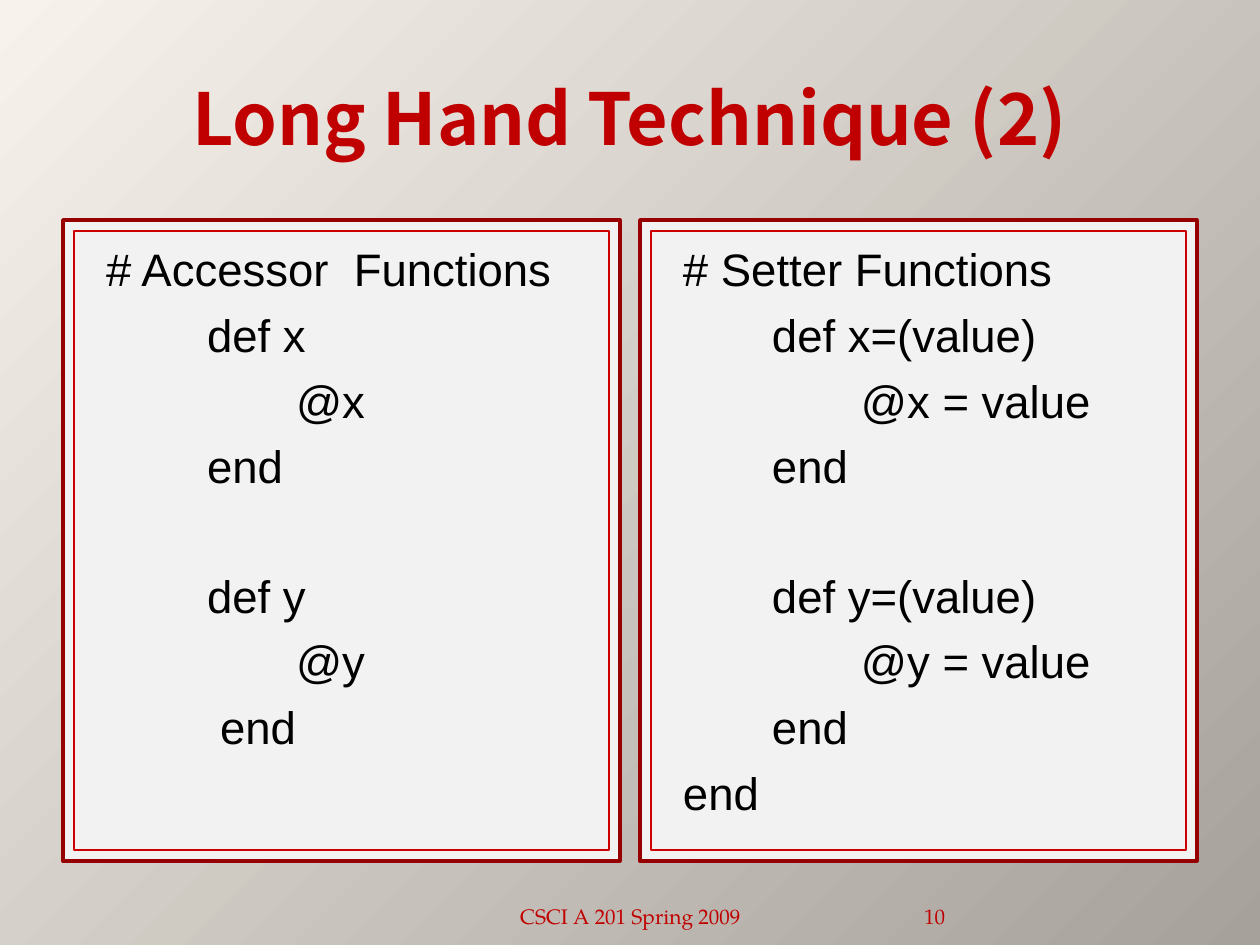
from dataclasses import dataclass

from pptx import Presentation
from pptx import util as u
from pptx.dml.color import RGBColor
from pptx.enum import shapes, text

PX = u.Inches(1) // 126


@dataclass(frozen=True)
class Theme:
    """Colours, fonts and type sizes of the slide."""
    light: str = "F7F3EC"
    dark: str = "A6A29B"
    panel: str = "F2F2F2"
    frame: str = "970000"
    rule: str = "CC0000"
    accent: str = "C00000"
    ink: str = "000000"
    title_font: str = "Noto Sans CJK SC"
    code_font: str = "Arial"
    footer_font: str = "TeX Gyre Pagella"
    title_size: int = 41
    code_size: int = 26
    footer_size: int = 12
    line_gap: float = 6.4
    section_gap: float = 42.7


THEME = Theme()


def emu(*lengths):
    """Turn pixel lengths into EMU."""
    return [length * PX for length in lengths]


def add_run(paragraph, wording, font, size, colour, bold=False):
    """Add one formatted run to a paragraph."""
    run = paragraph.add_run()
    run.text = wording
    run.font.name, run.font.size, run.font.bold = font, u.Pt(size), bold
    run.font.color.rgb = RGBColor.from_string(colour)


def add_background(slide):
    """Shade the slide from its top left to its bottom right corner."""
    fill = slide.background.fill
    fill.gradient()
    fill.gradient_angle = 315
    for stop, colour in zip(fill.gradient_stops, (THEME.light, THEME.dark)):
        stop.color.rgb = RGBColor.from_string(colour)


def add_title(slide, box, wording):
    """Place and format the title placeholder."""
    title = slide.shapes.title
    title.left, title.top, title.width, title.height = emu(*box)
    frame = title.text_frame
    frame.vertical_anchor = text.MSO_ANCHOR.MIDDLE
    paragraph = frame.paragraphs[0]
    paragraph.alignment = text.PP_ALIGN.CENTER
    add_run(paragraph, wording, THEME.title_font, THEME.title_size, THEME.accent, True)


def add_box(slide, box, outline, weight):
    """Add a panel rectangle with the given outline."""
    panel = slide.shapes.add_shape(shapes.MSO_SHAPE.RECTANGLE, *emu(*box))
    panel.shadow.inherit = False
    panel.fill.solid()
    panel.fill.fore_color.rgb = RGBColor.from_string(THEME.panel)
    panel.line.color.rgb = RGBColor.from_string(outline)
    panel.line.width = u.Pt(weight)
    return panel


def add_code_panel(slide, box, sections):
    """Add a double-framed panel; each code line is (indent in pixels, wording)."""
    left, top, width, height = box
    add_box(slide, box, THEME.frame, 2)
    inset = 11
    inner = (left + inset, top + inset, width - 2 * inset, height - 2 * inset)
    frame = add_box(slide, inner, THEME.rule, 0.75).text_frame
    frame.word_wrap = True
    frame.vertical_anchor = text.MSO_ANCHOR.TOP
    frame.margin_left, frame.margin_top = emu(32, 10)
    paragraph = frame.paragraphs[0]
    for section_no, section in enumerate(sections):
        for line_no, (indent, wording) in enumerate(section):
            if section_no or line_no:
                paragraph = frame.add_paragraph()
                gap = THEME.line_gap if line_no else THEME.section_gap
                paragraph.space_before = u.Pt(gap)
            paragraph.alignment = text.PP_ALIGN.LEFT
            paragraph._p.get_or_add_pPr().set("marL", str(indent * PX))
            add_run(paragraph, wording, THEME.code_font, THEME.code_size, THEME.ink)


def add_footer(slide, box, wording, alignment, side_margin):
    """Add one footer text, resting on the bottom of its box."""
    frame = slide.shapes.add_textbox(*emu(*box)).text_frame
    frame.word_wrap = True
    frame.vertical_anchor = text.MSO_ANCHOR.BOTTOM
    frame.margin_left = frame.margin_right = side_margin * PX
    paragraph = frame.paragraphs[0]
    paragraph.alignment = alignment
    add_run(paragraph, wording, THEME.footer_font, THEME.footer_size, THEME.accent)


def build_code_slide(deck):
    """Build the slide that sets accessors beside setters."""
    slide = deck.slides.add_slide(deck.slide_layouts[5])
    add_background(slide)
    add_title(slide, (63, 38, 1134, 158), "Long Hand Technique (2)")
    accessors = [
        [(0, "# Accessor  Functions"), (101, "def x"), (190, "@x"), (101, "end")],
        [(101, "def y"), (190, "@y"), (114, "end")],
    ]
    setters = [
        [(0, "# Setter Functions"), (89, "def x=(value)"), (178, "@x = value"), (89, "end")],
        [(89, "def y=(value)"), (178, "@y = value"), (89, "end"), (0, "end")],
    ]
    for column, sections in enumerate((accessors, setters)):
        add_code_panel(slide, (63 + 577 * column, 220, 557, 641), sections)
    add_footer(slide, (431, 885, 399, 50), "CSCI A 201 Spring 2009", text.PP_ALIGN.CENTER, 13)
    add_footer(slide, (840, 885, 105, 50), "10", text.PP_ALIGN.RIGHT, 0)


deck = Presentation()
deck.slide_width, deck.slide_height = u.Inches(10), u.Inches(7.5)
build_code_slide(deck)
deck.save("out.pptx")
